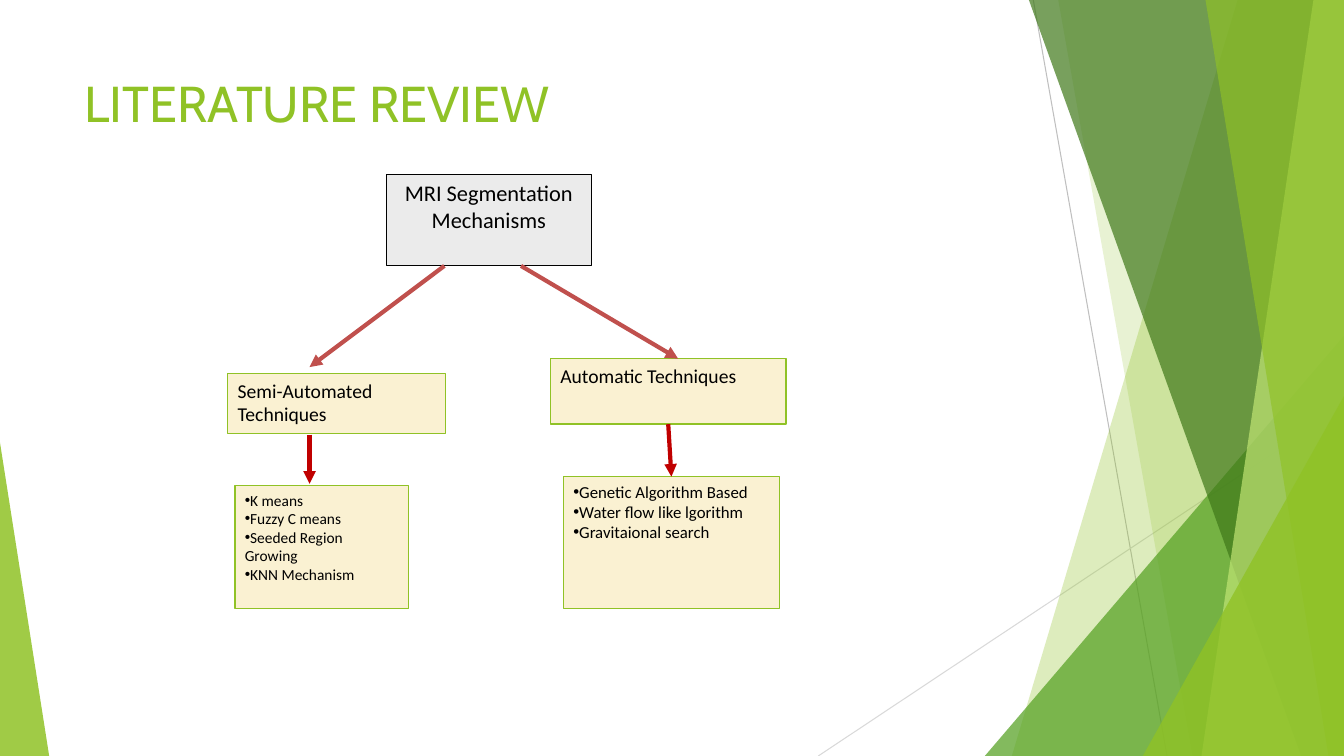
"""Build the literature review slide with its tree of MRI segmentation mechanisms."""
from pptx import Presentation
from pptx import util as u
from pptx.dml.color import RGBColor
from pptx.enum import shapes, text
from pptx.oxml.ns import qn
from lxml import etree

C = {
    "lime": "90C226", "green": "54A021", "forest": "3F7819", "pale": "C0E474",
    "grey": "BFBFBF", "mist": "D9D9D9", "silver": "EBEBEB", "cream": "FAF1D2",
    "black": "000000", "brick": "C0504D", "red": "C00000",
}
W, H = 33.87, 19.05

prs = Presentation()
prs.slide_width, prs.slide_height = u.Cm(W), u.Cm(H)
s = prs.slides.add_slide(prs.slide_layouts[6])


def add_text(content, at, size, font="Calibri", color="black", fill=None, line=None,
             width=1, align=text.PP_ALIGN.LEFT, bullet=False):
    """Add a box with one paragraph for each line of content."""
    at = [u.Cm(v) for v in at]
    if fill:
        sp = s.shapes.add_shape(shapes.MSO_SHAPE.RECTANGLE, *at)
        sp.shadow.inherit = False
        sp.fill.solid()
        sp.fill.fore_color.rgb = RGBColor.from_string(C[fill])
        sp.line.color.rgb = RGBColor.from_string(C[line])
        sp.line.width = u.Pt(width)
    else:
        sp = s.shapes.add_textbox(*at)
    tf = sp.text_frame
    tf.word_wrap = True
    tf.vertical_anchor = text.MSO_ANCHOR.TOP
    for i, words in enumerate(content.split("\n")):
        p = tf.add_paragraph() if i else tf.paragraphs[0]
        p.alignment = align
        r = p.add_run()
        r.text = words
        r.font.name, r.font.size = font, u.Pt(size)
        r.font.color.rgb = RGBColor.from_string(C[color])
        if bullet:
            pPr = p._p.get_or_add_pPr()
            pPr.set("marL", "0")
            pPr.set("indent", "0")
            etree.SubElement(pPr, qn("a:buFont")).set("typeface", "Arial")
            etree.SubElement(pPr, qn("a:buChar")).set("char", "•")
    return sp


def add_line(x1, y1, x2, y2, color, width=3, arrow=True):
    """Add a straight connector, with an arrowhead at its end if wanted."""
    cx = s.shapes.add_connector(shapes.MSO_CONNECTOR.STRAIGHT,
                                *[u.Cm(v) for v in (x1, y1, x2, y2)])
    cx.line.color.rgb = RGBColor.from_string(C[color])
    cx.line.width = u.Pt(width)
    if arrow:
        etree.SubElement(cx.line._get_or_add_ln(), qn("a:tailEnd")).set("type", "triangle")
    etree.SubElement(cx._element.spPr, qn("a:effectLst"))
    return cx


add_line(26.04, 0, 29.41, H, "grey", width=0.75, arrow=False)
add_line(W, 10.24, 20.62, H, "mist", width=0.75, arrow=False)

panels = [
    ("band", (31.19, 25.5), "lime", 30),
    ("band", (26.67, 30.05), "lime", 20),
    ("triangle", (24.82, W, 8.46, 1), "green", 72),
    ("band", (25.93, 32.79), "forest", 70),
    ("band", (33.1, 30.28), "pale", 70),
    ("band", (30.38, 33.48), "lime", 65),
    ("triangle", (28.8, W, 9.98, 1), "lime", 80),
    ("triangle", (0, 1.24, 11.15, 0), "lime", 85),
]
for kind, place, color, opacity in panels:
    if kind == "band":
        top, bottom = place
        fb = s.shapes.build_freeform(u.Cm(top), 0)
        fb.add_line_segments([(u.Cm(x), u.Cm(y)) for x, y in ((W, 0), (W, H), (bottom, H))])
        sp = fb.convert_to_shape()
    else:
        left, right, top, apex = place
        sp = s.shapes.add_shape(shapes.MSO_SHAPE.ISOSCELES_TRIANGLE, u.Cm(left), u.Cm(top),
                                u.Cm(right - left), u.Cm(H - top))
        sp.adjustments[0] = apex
    sp.shadow.inherit = False
    sp.line.fill.background()
    sp.fill.solid()
    sp.fill.fore_color.rgb = RGBColor.from_string(C[color])
    clr = sp._element.spPr.find(qn("a:solidFill"))[0]
    etree.SubElement(clr, qn("a:alpha")).set("val", str(opacity * 1000))

add_text("LITERATURE REVIEW", (1.88, 1.7, 23.88, 3.66), 36, font="Cabin", color="lime")
add_text("MRI Segmentation Mechanisms", (9.73, 4.39, 5.18, 2.31), 16, fill="silver",
         line="black", width=0.75, align=text.PP_ALIGN.CENTER)

cream = {"fill": "cream", "line": "lime"}
add_text("Semi-Automated Techniques", (5.74, 9.42, 5.49, 1.5), 14, **cream)
add_text("K means\nFuzzy C means\nSeeded Region Growing\nKNN Mechanism",
         (5.92, 12.24, 4.37, 3.1), 11, bullet=True, **cream)
automatic = add_text("Automatic Techniques", (13.87, 9.04, 5.94, 1.65), 14, **cream)
automatic_list = add_text("Genetic Algorithm Based\nWater flow like lgorithm\nGravitaional search",
                          (14.2, 12.01, 5.44, 3.33), 12, bullet=True, **cream)

add_line(11.2, 6.7, 7.8, 9.25, "brick")
add_line(13.13, 6.7, 17.09, 9.04, "brick")
add_line(7.8, 10.95, 7.8, 12.19, "red")
cx = add_line(16.84, 10.69, 16.92, 12.01, "red")
cx.begin_connect(automatic, 2)
cx.end_connect(automatic_list, 0)

prs.save("out.pptx")
